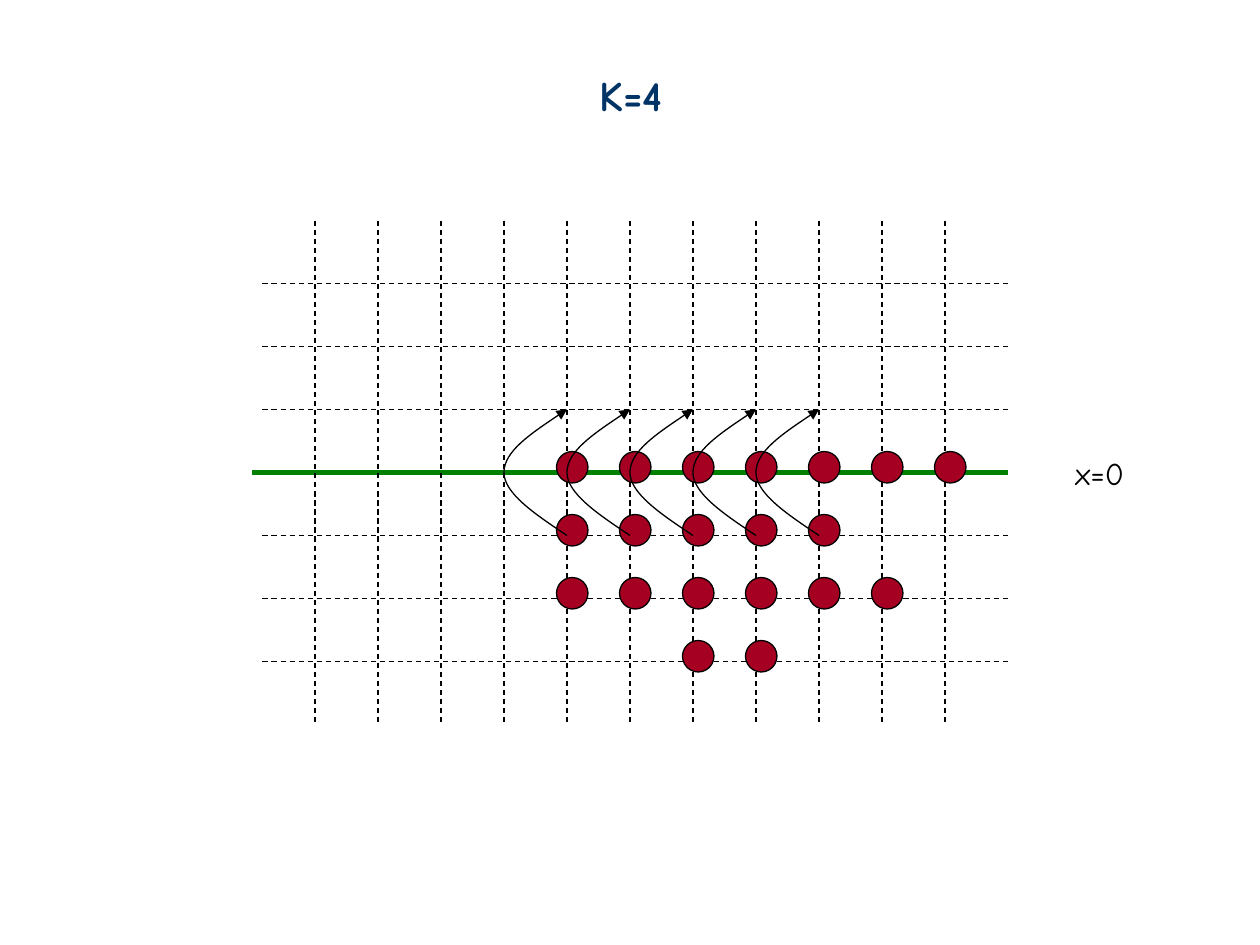
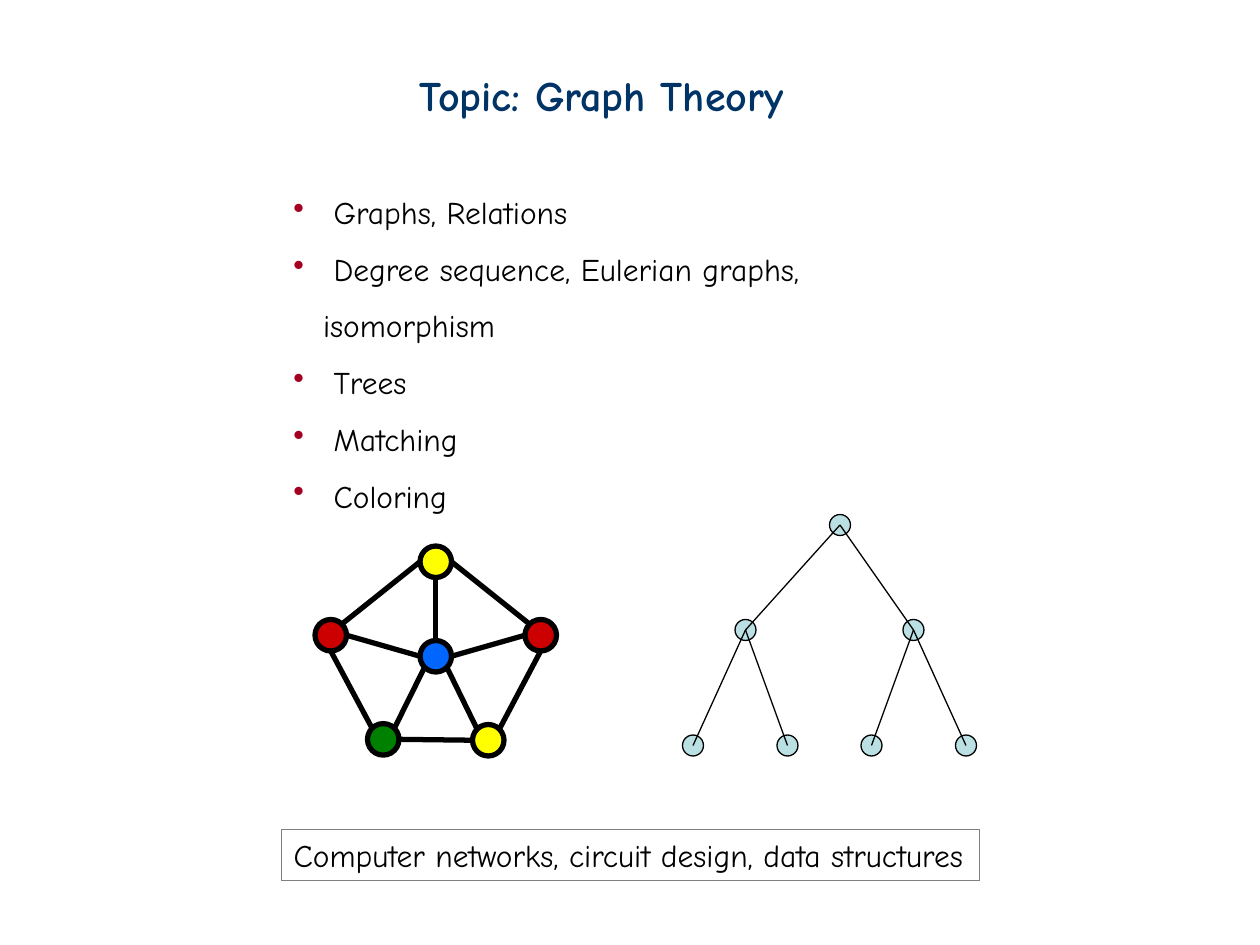
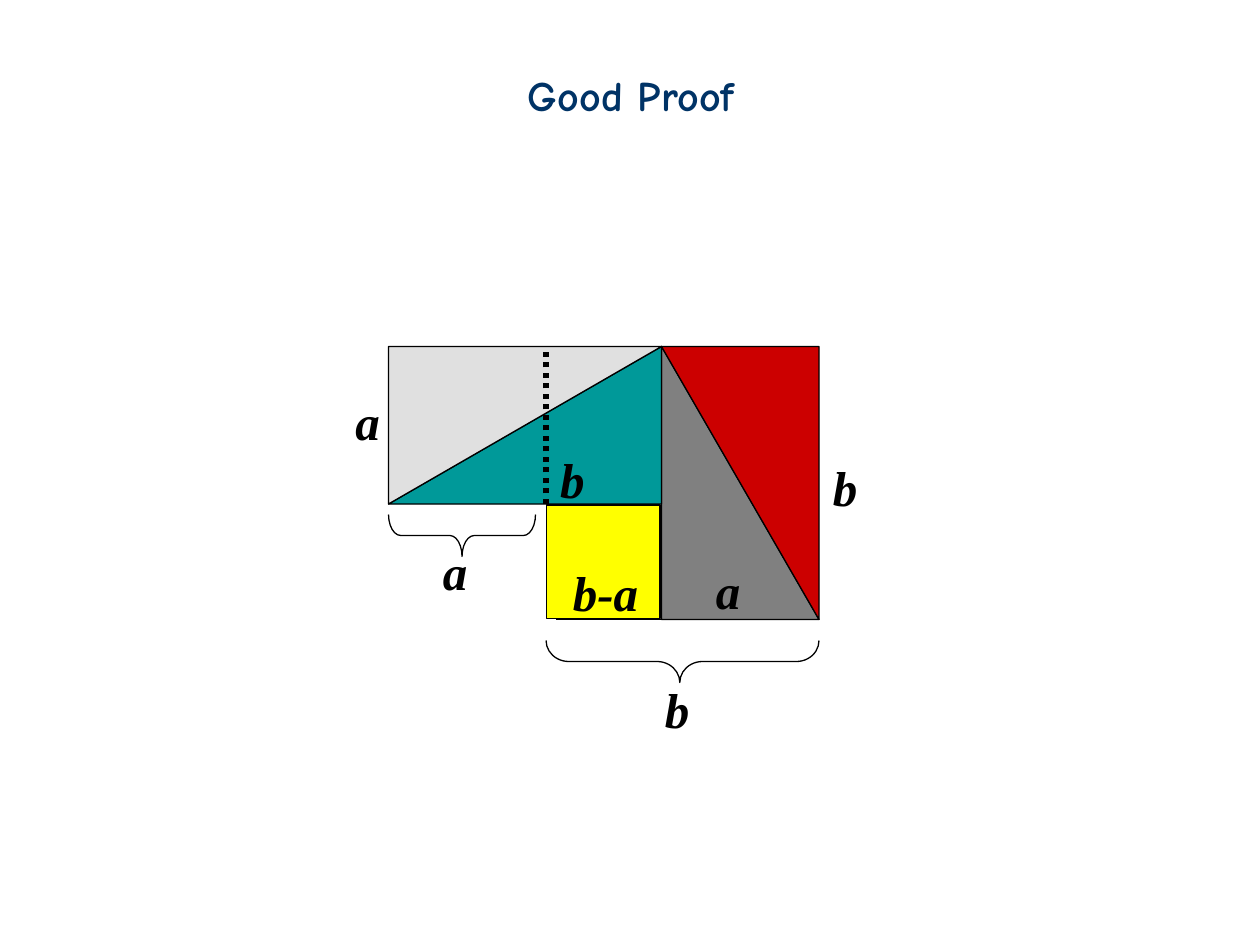
from itertools import product
from lxml.etree import SubElement
from pptx import Presentation
from pptx.dml.color import RGBColor
from pptx.enum.dml import MSO_LINE as Dash
from pptx.enum.shapes import MSO_CONNECTOR as Connector, MSO_SHAPE as Preset
from pptx.enum.text import MSO_ANCHOR as Anchor, MSO_AUTO_SIZE as AutoSize, PP_ALIGN as Align
from pptx.oxml.ns import qn
from pptx.util import Pt

COLORS = {
    "title": "003366", "black": "000000", "axis": "008000", "peg": "A50021",
    "green": "008000", "red": "CC0000", "yellow": "FFFF00", "blue": "0066FF",
    "tree": "BBE0E3", "frame": "808080", "gray": "808080", "teal": "009999",
    "light": "DDDDDD",
}
HAND_FONT = "Comic Neue"
MATH_FONT = "Times New Roman"
CELL = 36
DIAGONAL = 0.71
COMPASS = {
    "N": (0, -1), "E": (1, 0), "S": (0, 1), "W": (-1, 0),
    "NE": (DIAGONAL, -DIAGONAL), "SE": (DIAGONAL, DIAGONAL),
    "SW": (-DIAGONAL, DIAGONAL), "NW": (-DIAGONAL, -DIAGONAL),
}


def color(name):
    """Return the named colour."""
    return RGBColor.from_string(COLORS[name])


def add_line(shapes, start, end, ink="black", weight=0.75, dash=None):
    """Draw a straight line between two points."""
    line = shapes.add_connector(Connector.STRAIGHT, *map(Pt, (*start, *end)))
    line.line.color.rgb = color(ink)
    line.line.width = Pt(weight)
    if dash:
        line.line.dash_style = dash
    SubElement(line.element.spPr, qn("a:effectLst"))


def style_shape(shape, fill=None, ink="black", weight=0.75):
    """Give a shape its fill and outline without a shadow."""
    shape.shadow.inherit = False
    if fill:
        shape.fill.solid()
        shape.fill.fore_color.rgb = color(fill)
    else:
        shape.fill.background()
    shape.line.color.rgb = color(ink)
    shape.line.width = Pt(weight)


def add_preset(shapes, preset, box, fill=None, ink="black", weight=0.75):
    """Add a styled preset shape in a box of left, top, width, height."""
    shape = shapes.add_shape(preset, *map(Pt, box))
    style_shape(shape, fill, ink, weight)
    return shape


def add_turned(shapes, preset, center, size, angle, fill=None):
    """Add a preset shape rotated about its centre."""
    (x, y), (width, height) = center, size
    box = (x - width / 2, y - height / 2, width, height)
    shape = add_preset(shapes, preset, box, fill)
    shape.rotation = angle
    return shape


def write(shape, lines, size, ink="black", font=HAND_FONT, bold=False,
          italic=False, align=Align.LEFT, wrap=False):
    """Write paragraphs of one style into a shape."""
    frame = shape.text_frame
    frame.text = "\n".join(lines)
    frame.word_wrap = wrap
    frame.auto_size = AutoSize.SHAPE_TO_FIT_TEXT
    frame.vertical_anchor = Anchor.TOP
    for para in frame.paragraphs:
        para.alignment = align
        para.font.name = font
        para.font.size = Pt(size)
        para.font.bold = bold
        para.font.italic = italic
        para.font.color.rgb = color(ink)


def add_text(page, box, lines, size, **style):
    """Add a text box."""
    shape = page.shapes.add_textbox(*map(Pt, box))
    write(shape, lines, size, **style)
    return shape


def add_page(deck, title, left, width):
    """Add a title-only slide and set its heading."""
    page = deck.slides.add_slide(deck.slide_layouts[5])
    heading = page.shapes.title
    heading.left, heading.top, heading.width, heading.height = map(Pt, (left, 36, width, 36))
    write(heading, [title], 24, ink="title", bold=True)
    return page


def add_jump(page, x, y):
    """Draw a curved arrow from a point to two cells above it."""
    steps = [(18, 12), (36, 24), (36, 36), (36, 48), (18, 60), (0, 72)]
    builder = page.shapes.build_freeform(Pt(x), Pt(y), scale=1.0)
    builder.add_line_segments([(Pt(x - dx), Pt(y - dy)) for dx, dy in steps], close=False)
    jump = builder.convert_to_shape()
    style_shape(jump)
    segments = list(jump.element.iter(qn("a:lnTo")))
    outline = segments[0].getparent()
    for first in range(0, len(segments), 3):
        curve = SubElement(outline, qn("a:cubicBezTo"))
        for segment in segments[first:first + 3]:
            curve.append(segment[0])
            outline.remove(segment)
    SubElement(jump.element.spPr.find(qn("a:ln")), qn("a:tailEnd"), type="triangle")


def add_board(page, left, top):
    """Draw the dashed grid, the axis, the pegs and their jumps."""
    columns = [left + CELL * (i + 1) for i in range(11)]
    rows = [top + CELL * (i + 1) for i in range(7)]
    right, bottom = left + 12 * CELL, top + 8 * CELL
    axis = rows[3]
    add_line(page.shapes, (left, axis), (right, axis), "axis", 3)
    for x in columns:
        add_line(page.shapes, (x, top), (x, bottom), dash=Dash.DASH)
    for y in rows:
        if y != axis:
            add_line(page.shapes, (left + 6, y), (right, y), dash=Dash.DASH)
    pegs = {3: range(4, 11), 4: range(4, 9), 5: range(4, 10), 6: range(6, 8)}
    for row, filled in pegs.items():
        for column in filled:
            box = (columns[column] - 6, rows[row] - 12, 18, 18)
            add_preset(page.shapes, Preset.OVAL, box, "peg")
    for column in pegs[4]:
        add_jump(page, columns[column], rows[4])
    add_text(page, (right + 31.5, axis - 14, 42, 29), ["x=0"], 18)


def add_topics(page, box, topics):
    """Add the bulleted list of topics."""
    shape = add_text(page, box, topics, 18, wrap=True)
    for para in shape.text_frame.paragraphs:
        para.line_spacing = 1.5
        layout = para._p.get_or_add_pPr()
        layout.set("marL", str(Pt(17)))
        layout.set("indent", str(-Pt(17)))
        bullet_color = SubElement(layout, qn("a:buClr"))
        SubElement(bullet_color, qn("a:srgbClr"), val=COLORS["peg"])
        SubElement(layout, qn("a:buChar"), char="•")


def add_wheel(page, left, top):
    """Draw the coloured wheel graph with edges from rim to rim."""
    radius = 9
    nodes = {
        "low left": (30, 101.5, "green"), "left": (0, 42, "red"),
        "right": (120, 42, "red"), "top": (60, 0, "yellow"),
        "low right": (90, 102, "yellow"), "hub": (60, 54, "blue"),
    }
    edges = [
        ("low left", "E", "low right", "W"), ("top", "E", "right", "NW"),
        ("right", "S", "low right", "NE"), ("top", "W", "left", "NE"),
        ("left", "S", "low left", "NW"), ("top", "S", "hub", "N"),
        ("hub", "E", "right", "W"), ("hub", "SE", "low right", "NW"),
        ("hub", "SW", "low left", "NE"), ("hub", "W", "left", "E"),
    ]

    def rim(node, side):
        """Find a point on the rim of a node."""
        x, y, _ = nodes[node]
        dx, dy = COMPASS[side]
        return left + x + radius * (1 + dx), top + y + radius * (1 + dy)

    wheel = page.shapes.add_group_shape().shapes
    for x, y, fill in nodes.values():
        box = (left + x, top + y, 2 * radius, 2 * radius)
        add_preset(wheel, Preset.OVAL, box, fill, weight=3)
    for start, start_side, end, end_side in edges:
        add_line(wheel, rim(start, start_side), rim(end, end_side), weight=3)


def add_tree(page, left, top):
    """Draw the binary tree with edges from centre to centre."""
    radius = 6
    offsets = [(90, 6), (36, 66), (132, 66), (6, 132), (60, 132), (108, 132), (162, 132)]
    centers = [(left + x, top + y) for x, y in offsets]
    for x, y in centers:
        box = (x - radius, y - radius, 2 * radius, 2 * radius)
        add_preset(page.shapes, Preset.OVAL, box, "tree")
    for parent, side in product(range(3), (1, 2)):
        add_line(page.shapes, centers[parent], centers[2 * parent + side])


def add_brace(page, center, length, bend, tip):
    """Draw a brace that points down."""
    brace = add_turned(page.shapes, Preset.RIGHT_BRACE, center, (24, length), 90)
    brace.adjustments[0] = bend
    brace.adjustments[1] = tip


def add_proof(page, left, top):
    """Draw the rearranged triangles with their side labels."""
    short, long = 90, 156
    middle, right = left + long, left + long + short
    step, bottom = top + short, top + long
    shapes = page.shapes
    upright = (middle + short / 2, top + long / 2)
    lying = (left + long / 2, top + short / 2)
    triangles = [(upright, 0, "gray"), (upright, 180, "red"),
                 (lying, 270, "teal"), (lying, 90, "light")]
    for center, angle, fill in triangles:
        triangle = add_turned(shapes, Preset.RIGHT_TRIANGLE, center, (short, long), angle, fill)
    tint = triangle.element.spPr.find(qn("a:solidFill"))[0]
    SubElement(tint, qn("a:alpha"), val="90000")

    corner = (left + short + 6, bottom)
    add_line(shapes, (left + 180, top + 264), (left + 180, top + 264))
    add_line(shapes, corner, (middle, bottom))
    add_line(shapes, corner, (corner[0], step))
    add_line(shapes, (left + short, step), (left + short, top), weight=3, dash=Dash.ROUND_DOT)
    add_preset(shapes, Preset.RECTANGLE, (left + short + 0.4, step + 0.6, 64.8, 64.8), "yellow")
    add_brace(page, ((left + short + right) / 2, bottom + 24), long, 0.54, 0.51)
    add_brace(page, (left + 42, step + 18), 84, 0.29, 0.5)

    labels = [("b", 246, 60, 30), ("a", -26, 22, 28), ("a", 24, 108, 28),
              ("a", 180, 119, 28), ("b-a", 94, 120, 60), ("b", 150, 187, 30),
              ("b", 90, 55.5, 30)]
    for label, x, y, width in labels:
        add_text(page, (left + x, top + y, width, 41), [label], 28, font=MATH_FONT,
                 bold=True, italic=True, align=Align.CENTER)


def main():
    """Build and save the deck."""
    deck = Presentation()
    deck.slide_width, deck.slide_height = Pt(720), Pt(540)

    add_board(add_page(deck, "K=4", 335.5, 50.5), 144, 126)

    page = add_page(deck, "Topic: Graph Theory", 232.5, 224.5)
    add_topics(page, (160.5, 96, 397, 169), [
        " Graphs, Relations",
        " Degree sequence, Eulerian graphs, isomorphism",
        " Trees",
        " Matching",
        " Coloring",
    ])
    uses = add_preset(page.shapes, Preset.RECTANGLE, (160.75, 474, 399, 29), ink="frame")
    write(uses, ["Computer networks, circuit design, data structures"], 18)
    add_wheel(page, 180, 312)
    add_tree(page, 390, 294)

    add_proof(add_page(deck, "Good Proof", 294.5, 132.5), 222, 198)
    deck.save("out.pptx")


if __name__ == "__main__":
    main()
